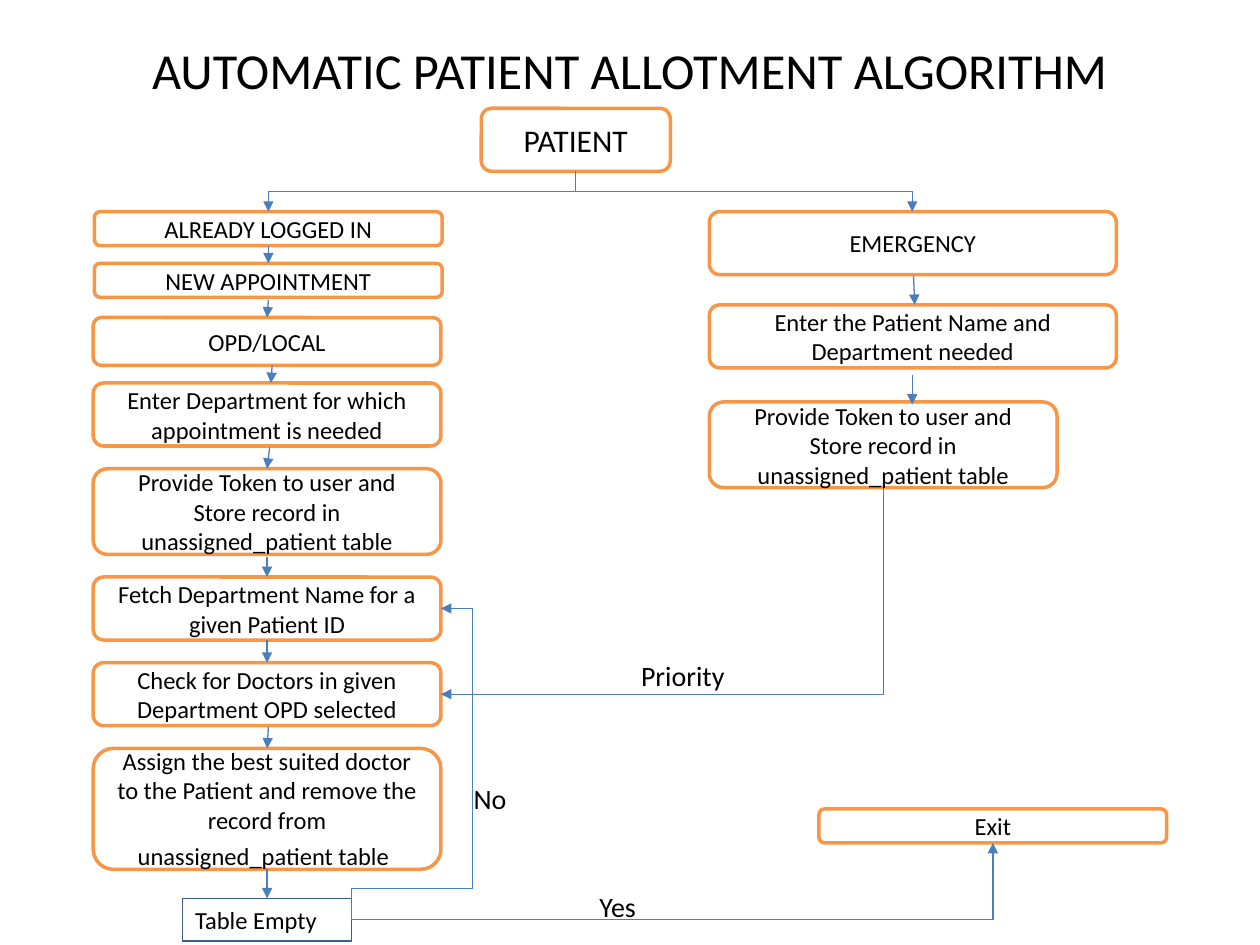
import pptx
import pptx.dml.color
import pptx.enum.shapes
import pptx.enum.text
import pptx.oxml
import pptx.oxml.ns
import pptx.util

SHAPES = pptx.enum.shapes.MSO_SHAPE
ANCHOR = pptx.enum.text.MSO_ANCHOR
ALIGN = pptx.enum.text.PP_ALIGN
qn = pptx.oxml.ns.qn


def colour(value):
    return pptx.dml.color.RGBColor.from_string(value)


def apply(target, formats):
    for name, value in formats.items():
        setattr(target, name, value)


class Flowchart:
    """Style and current slide; lengths are cells of a 10 by 7.5 grid."""
    COLUMNS, ROWS = 10, 7.5
    FONT, INK, PAPER = "Calibri", "000000", "FFFFFF"
    BORDER, ARROW, FRAME = "F79646", "4B7EBC", "3A5F8C"

    def __init__(self, deck):
        self.slide = deck.slides.add_slide(deck.slide_layouts[6])
        self.column = deck.slide_width / self.COLUMNS
        self.row = deck.slide_height / self.ROWS

    def cells(self, x, y, w, h):
        return [round(x * self.column), round(y * self.row),
                round(w * self.column), round(h * self.row)]

    def set_text(self, shape, runs, align, anchor):
        apply(shape.text_frame, {"word_wrap": True, "vertical_anchor": anchor})
        paragraph = shape.text_frame.paragraphs[0]
        paragraph.alignment = align
        for text, size in runs:
            run = paragraph.add_run()
            run.text = text
            apply(run.font, {"name": self.FONT, "size": pptx.util.Pt(size)})
            run.font.color.rgb = colour(self.INK)

    def label(self, text, at, size=16, align=ALIGN.LEFT, anchor=ANCHOR.TOP):
        box = self.slide.shapes.add_textbox(*self.cells(*at))
        self.set_text(box, [(text, size)], align, anchor)

    def outline(self, kind, at, line, width):
        shape = self.slide.shapes.add_shape(kind, *self.cells(*at))
        shape.shadow.inherit = False
        shape.line.color.rgb = colour(line)
        shape.line.width = pptx.util.Pt(width)
        return shape

    def step(self, at, *runs):
        shape = self.outline(SHAPES.ROUNDED_RECTANGLE, at, self.BORDER, 2)
        shape.fill.solid()
        shape.fill.fore_color.rgb = colour(self.PAPER)
        self.set_text(shape, runs, ALIGN.CENTER, ANCHOR.MIDDLE)

    def check(self, text, at):
        shape = self.outline(SHAPES.RECTANGLE, at, self.FRAME, 0.75)
        shape.fill.background()
        self.set_text(shape, [(text, 14)], ALIGN.LEFT, ANCHOR.TOP)

    def arrow(self, x1, y1, x2, y2, kind="STRAIGHT"):
        connector = self.slide.shapes.add_connector(
            pptx.enum.shapes.MSO_CONNECTOR[kind],
            *self.cells(x1, y1, x2, y2))
        connector.line.color.rgb = colour(self.ARROW)
        connector.line.width = pptx.util.Pt(0.75)
        properties = connector._element.spPr
        head = pptx.oxml.parse_xml(
            '<a:tailEnd %s type="triangle"/>' % pptx.oxml.ns.nsdecls("a"))
        properties.find(qn("a:ln")).append(head)
        properties.append(pptx.oxml.parse_xml(
            "<a:effectLst %s/>" % pptx.oxml.ns.nsdecls("a")))
        return properties

    def bent(self, start, end, bends, turn=0, flips="", adjust=()):
        """Elbow from start to end; a quarter turn swaps width and height."""
        (x1, y1), (x2, y2) = start, end
        w, h = abs(x2 - x1), abs(y2 - y1)
        if turn:
            w, h = h, w
        left, top = (x1 + x2 - w) / 2, (y1 + y2 - h) / 2
        properties = self.arrow(left, top, left + w, top + h, "ELBOW")
        frame = properties.find(qn("a:xfrm"))
        frame.set("rot", str(turn * 60000))
        for flip in flips:
            frame.set("flip" + flip, "1")
        geometry = properties.find(qn("a:prstGeom"))
        geometry.set("prst", f"bentConnector{bends}")
        for guide in geometry.findall(qn("a:avLst")):
            geometry.remove(guide)
        guides = "".join(
            f'<a:gd name="adj{i}" fmla="val {round(share * 100000)}"/>'
            for i, share in enumerate(adjust, 1))
        geometry.append(pptx.oxml.parse_xml(
            f'<a:avLst {pptx.oxml.ns.nsdecls("a")}>{guides}</a:avLst>'))


deck = pptx.Presentation()
apply(deck, {"slide_width": pptx.util.Inches(10),
             "slide_height": pptx.util.Inches(7.5)})
chart = Flowchart(deck)

# Title and start
chart.label("AUTOMATIC PATIENT ALLOTMENT ALGORITHM", (0.5, 0.3, 9, 0.5), 28.8,
            ALIGN.CENTER, ANCHOR.MIDDLE)
chart.step((3.82, 0.86, 1.5, 0.5), ("PATIENT", 18))

# Steps: left, top, width, height, text
NARROW, WIDE = 2.76, 3.23
REGULAR, EMERGENCY = 0.74, 5.63
TOKEN = "Provide Token to user and Store record in unassigned_patient table"
steps = [
    (0.75, 1.68, NARROW, 0.27, "ALREADY LOGGED IN"),
    (0.75, 2.09, NARROW, 0.27, "NEW APPOINTMENT"),
    (REGULAR, 2.52, NARROW, 0.38, "OPD/LOCAL"),
    (REGULAR, 3.04, NARROW, 0.5,
     "Enter Department for which appointment is needed"),
    (REGULAR, 3.72, NARROW, 0.68, TOKEN),
    (REGULAR, 4.58, NARROW, 0.5,
     "Fetch Department Name for a given Patient ID"),
    (REGULAR, 5.26, NARROW, 0.5,
     "Check for Doctors in given Department OPD selected"),
    (EMERGENCY, 1.68, WIDE, 0.5, "EMERGENCY"),
    (EMERGENCY, 2.42, WIDE, 0.5,
     "Enter the Patient Name and Department needed"),
    (EMERGENCY, 3.19, NARROW, 0.68, TOKEN),
    (6.5, 6.42, NARROW, 0.27, "Exit"),
]
for *at, text in steps:
    chart.step(at, (text, 14))
chart.step((REGULAR, 5.94, NARROW, 0.96),
           ("Assign the best suited doctor to the Patient and remove the "
            "record from unassigned_patient table", 14), (" ", 18))
chart.check("Table Empty", (1.45, 7.13, 1.34, 0.34))

# Straight arrows between successive steps
for ends in [
    (2.13, 1.95, 2.13, 2.09), (2.13, 2.38, 2.12, 2.52),
    (2.16, 2.9, 2.15, 3.04), (2.14, 3.55, 2.12, 3.72),
    (2.12, 4.42, 2.12, 4.58), (2.12, 5.08, 2.12, 5.26),
    (2.13, 5.77, 2.12, 5.94), (2.12, 6.9, 2.12, 7.13),
    (7.25, 2.19, 7.26, 2.42), (7.24, 2.98, 7.24, 3.21),
]:
    chart.arrow(*ends)

# Branches, priority route, loop and exit
patient, table_empty = (4.57, 1.36), (2.79, 7.3)
chart.bent(patient, (2.13, 1.68), 3, 90)
chart.bent(patient, (7.24, 1.68), 3, 270, "H")
chart.bent((7.01, 3.87), (3.5, 5.51), 2, 90)
chart.bent(table_empty, (3.5, 4.83), 4, 90, "HV", (0.1, 1.35))
chart.bent(table_empty, (7.88, 6.69), 2, 0, "V")

# Route labels
chart.label("Priority", (4.99, 5.18, 1.27, 0.37))
chart.label("Yes", (4.66, 7.01, 1.77, 0.37))
chart.label("No", (3.66, 6.15, 1.02, 0.37))

deck.save("out.pptx")
